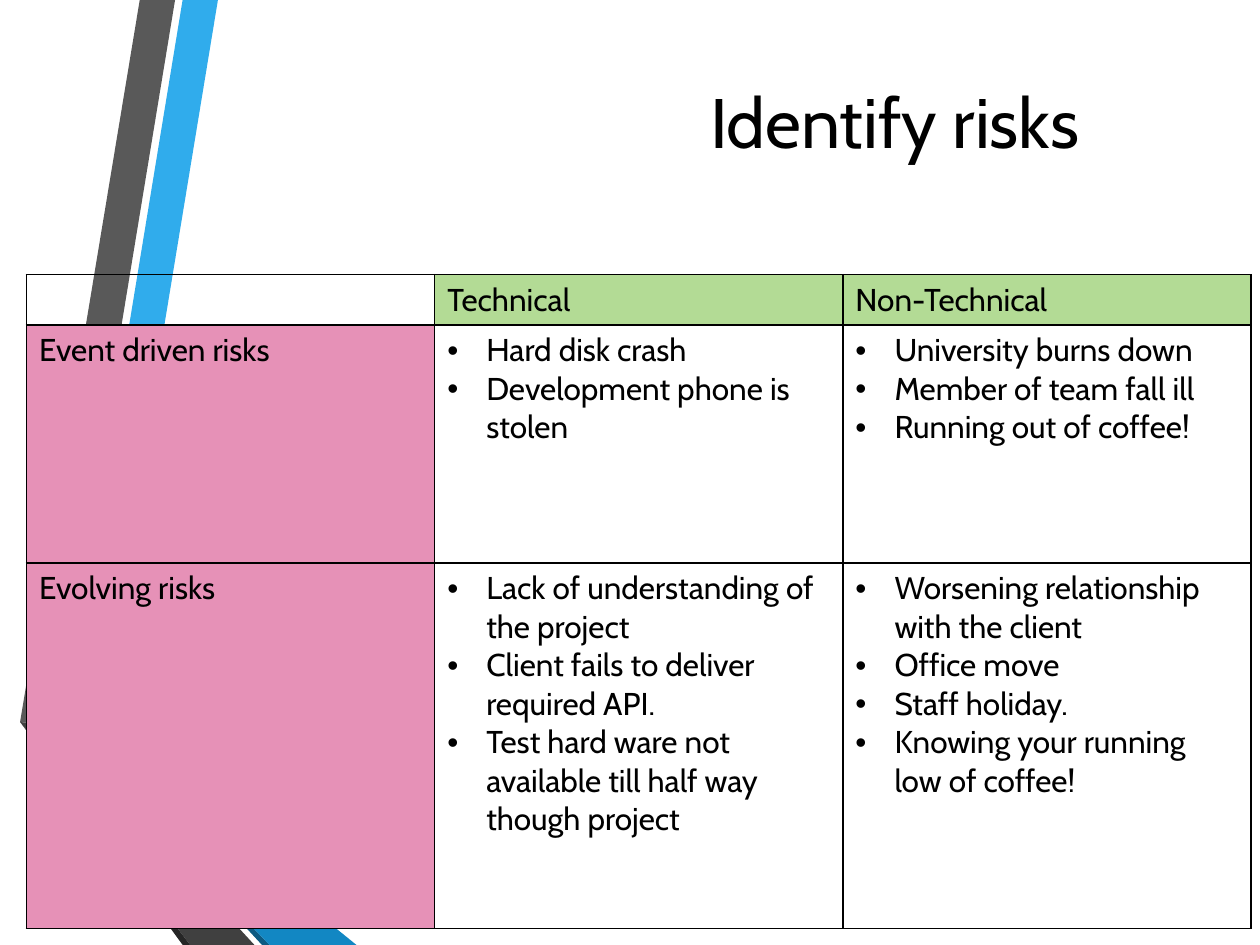
from dataclasses import dataclass

from lxml import etree
from pptx import Presentation
from pptx import util as u
from pptx.dml.color import RGBColor
from pptx.enum import text
from pptx.oxml import ns

WIDTH, HEIGHT = u.Inches(10), u.Inches(7.5)


@dataclass(frozen=True)
class Theme:
    """Colours, font and type sizes of the slide."""
    font: str = "Cabin"
    title_size: int = 40
    body_size: int = 18
    ink: str = "000000"
    heading_fill: str = "B3DB95"
    category_fill: str = "E691B7"
    blue: str = "30ACEC"
    blue_fold: str = "1287C3"
    blue_edge: str = "0C5A82"
    grey: str = "595959"
    grey_fold: str = "404040"
    grey_edge: str = "262626"


THEME = Theme()

# Ribbon outlines in inches, from back to front
RIBBONS = [
    (THEME.blue, [(0.5, 5.78), (0.77, 5.83), (1.73, 0), (1.45, 0)]),
    (THEME.grey, [(1.39, 0), (1.11, 0), (0.16, 5.73), (0.44, 5.77)]),
    (THEME.grey_edge, [(0.16, 5.73), (1.45, 7.5), (1.51, 7.5)]),
    (THEME.blue_edge, [(0.5, 5.79), (2.08, 7.5), (2.14, 7.5)]),
    (THEME.blue_fold, [(0.5, 5.79), (2.14, 7.5), (2.83, 7.5), (0.77, 5.83), (0.5, 5.78)]),
    (THEME.grey_fold, [(2.02, 7.5), (0.48, 5.83), (0.43, 5.77), (0.16, 5.73), (1.51, 7.5)]),
]

HEADINGS = ["Technical", "Non-Technical"]
RISKS = {
    "Event driven risks": [
        ["Hard disk crash", "Development phone is stolen"],
        ["University burns down", "Member of team fall ill", "Running out of coffee!"],
    ],
    "Evolving risks": [
        ["Lack of understanding of the project",
         "Client fails to deliver required API.",
         "Test hard ware not available till half way though project"],
        ["Worsening relationship with the client", "Office move",
         "Staff holiday.", "Knowing your running low of coffee!"],
    ],
}
ROW_HEIGHTS = [0.4, 1.89, 2.9]


def style_text(paragraph, size):
    """Apply the theme font, ink and a size to every run."""
    for run in paragraph.runs:
        run.font.name = THEME.font
        run.font.size = u.Pt(size)
        run.font.color.rgb = RGBColor.from_string(THEME.ink)


def add_ribbon(slide, colour, outline):
    """Draw one closed, unlined piece of ribbon."""
    points = [(u.Inches(x), u.Inches(y)) for x, y in outline]
    builder = slide.shapes.build_freeform(*points[0])
    builder.add_line_segments(points[1:], close=True)
    ribbon = builder.convert_to_shape()
    ribbon.shadow.inherit = False
    ribbon.fill.solid()
    ribbon.fill.fore_color.rgb = RGBColor.from_string(colour)
    ribbon.line.fill.background()


def add_title(slide, wording):
    """Place the centred heading, which runs past the right edge."""
    title = slide.shapes.add_textbox(u.Inches(1.62), 0, u.Inches(10.96), u.Inches(1.92))
    frame = title.text_frame
    frame.word_wrap = True
    frame.vertical_anchor = text.MSO_ANCHOR.MIDDLE
    frame.text = wording
    frame.paragraphs[0].alignment = text.PP_ALIGN.CENTER
    style_text(frame.paragraphs[0], THEME.title_size)


def add_borders(cell):
    """Outline a cell with one-point lines."""
    properties = cell._tc.get_or_add_tcPr()
    for side in ("lnL", "lnR", "lnT", "lnB"):
        line = etree.SubElement(properties, ns.qn(f"a:{side}"), w=str(u.Pt(1)))
        solid = etree.SubElement(line, ns.qn("a:solidFill"))
        etree.SubElement(solid, ns.qn("a:srgbClr"), val=THEME.ink)


def add_bullet(paragraph):
    """Give a paragraph a hanging round bullet."""
    properties = paragraph._p.get_or_add_pPr()
    indent = u.Inches(0.31)
    properties.set("marL", str(indent))
    properties.set("indent", str(-indent))
    etree.SubElement(properties, ns.qn("a:buFont"), typeface="Arial")
    etree.SubElement(properties, ns.qn("a:buChar"), char="•")


def fill_cell(cell, lines, colour=None, bulleted=False):
    """Set a cell's borders, fill and paragraphs."""
    add_borders(cell)
    if colour:
        cell.fill.solid()
        cell.fill.fore_color.rgb = RGBColor.from_string(colour)
    else:
        cell.fill.background()
    cell.text_frame.text = "\n".join(lines)
    for paragraph in cell.text_frame.paragraphs:
        style_text(paragraph, THEME.body_size)
        if bulleted:
            add_bullet(paragraph)


def add_risk_table(slide):
    """Build the grid of risk categories against risk types."""
    frame = slide.shapes.add_table(
        len(RISKS) + 1, len(HEADINGS) + 1, u.Inches(0.21), u.Inches(2.18),
        u.Inches(9.72), u.Inches(sum(ROW_HEIGHTS)))
    grid = frame.table
    grid.first_row = grid.horz_banding = False
    for row, height in zip(grid.rows, ROW_HEIGHTS):
        row.height = u.Inches(height)

    fill_cell(grid.cell(0, 0), [])
    for column, heading in enumerate(HEADINGS, 1):
        fill_cell(grid.cell(0, column), [heading], THEME.heading_fill)
    for row, (category, risk_lists) in enumerate(RISKS.items(), 1):
        fill_cell(grid.cell(row, 0), [category], THEME.category_fill)
        for column, risks in enumerate(risk_lists, 1):
            fill_cell(grid.cell(row, column), risks, bulleted=True)


def main():
    """Build and save the slide."""
    deck = Presentation()
    deck.slide_width, deck.slide_height = WIDTH, HEIGHT
    slide = deck.slides.add_slide(deck.slide_layouts[6])
    for colour, outline in RIBBONS:
        add_ribbon(slide, colour, outline)
    add_title(slide, "Identify risks")
    add_risk_table(slide)
    deck.save("out.pptx")


main()
